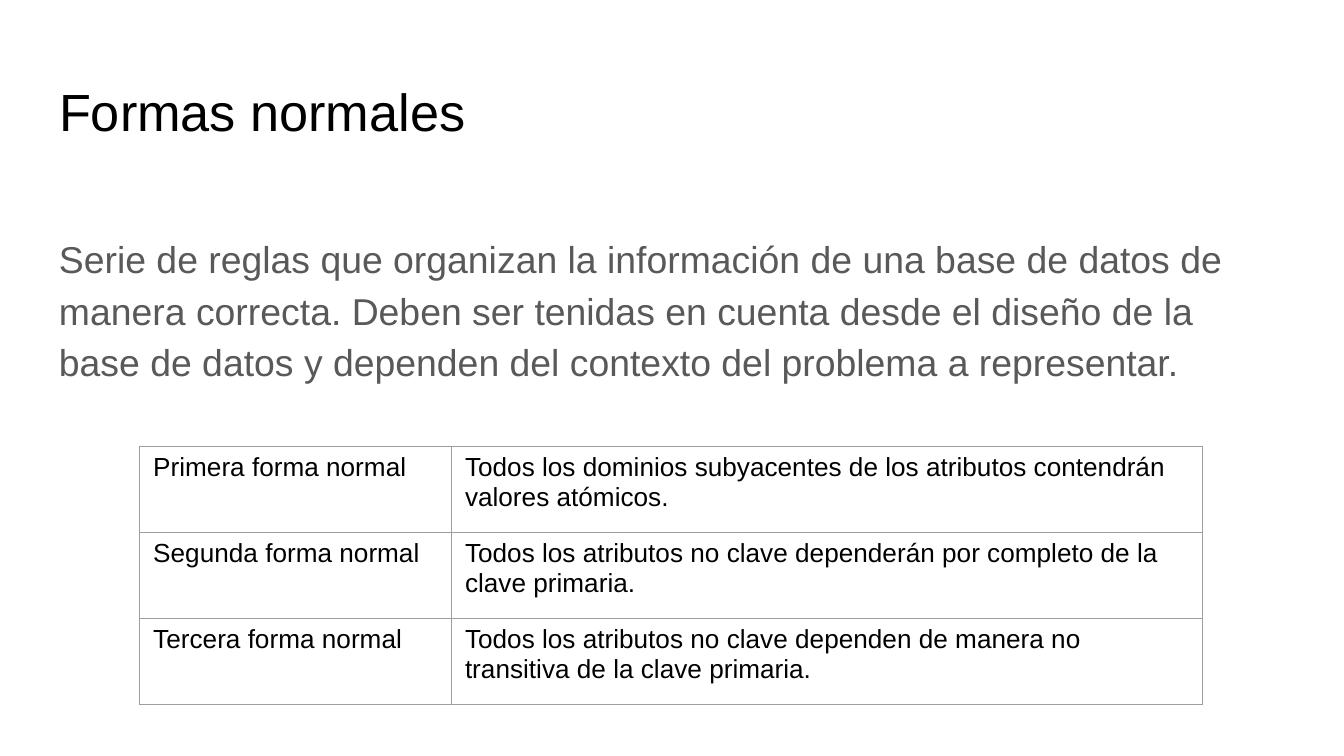
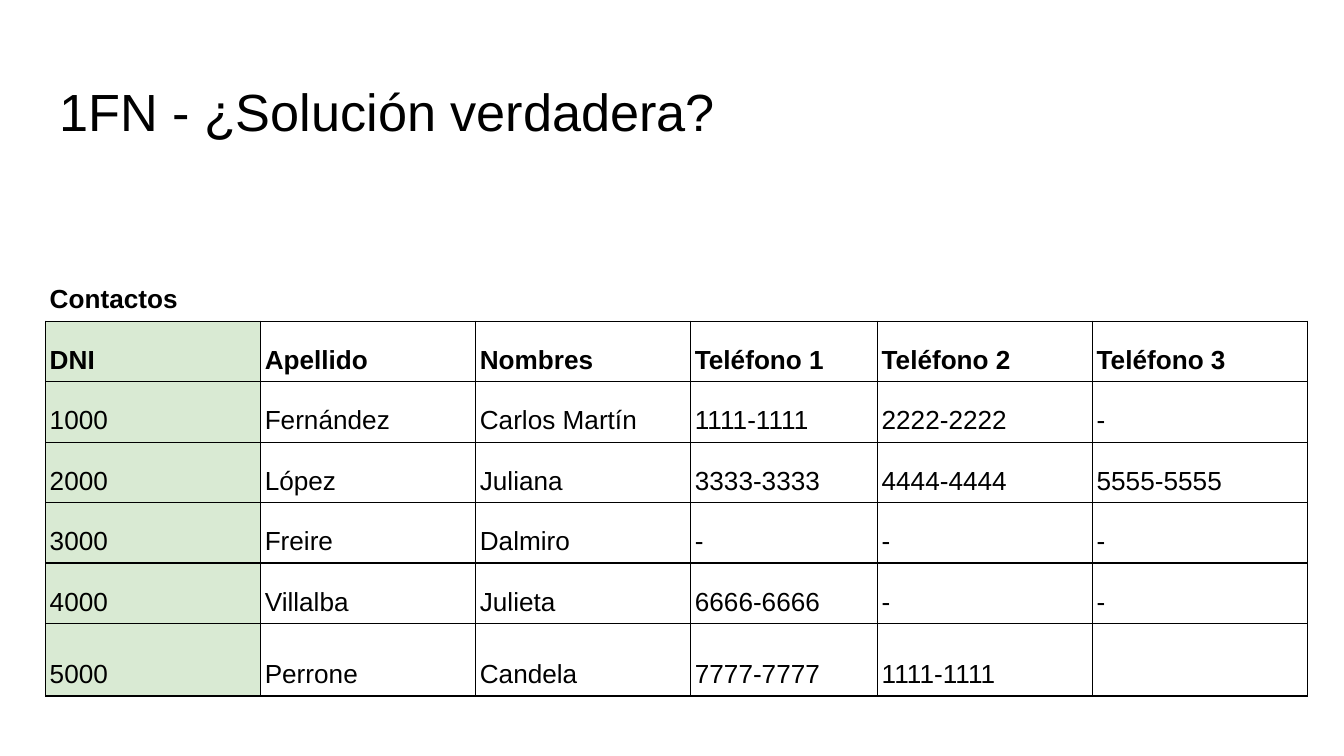
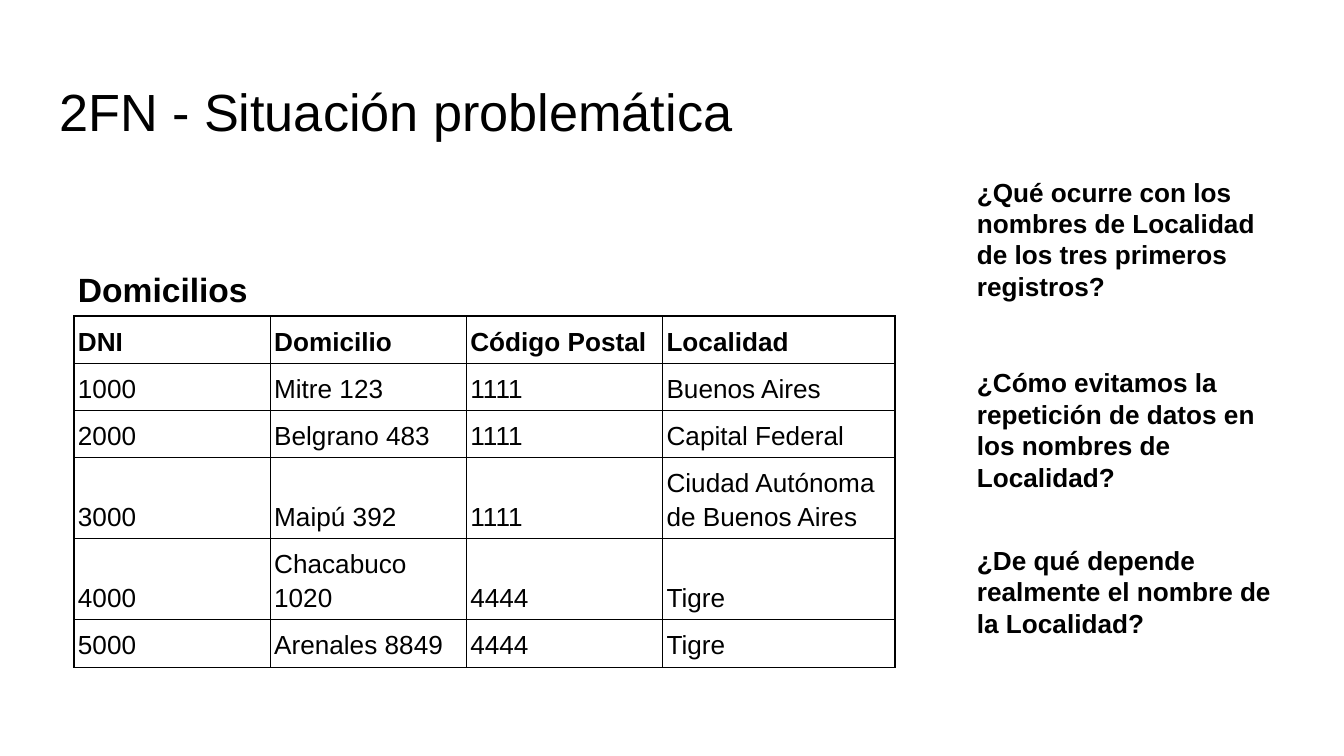
from dataclasses import dataclass

from lxml import etree
from pptx import Presentation
from pptx.dml.color import RGBColor
from pptx.enum.text import MSO_ANCHOR, MSO_AUTO_SIZE, PP_ALIGN
from pptx.oxml.ns import qn
from pptx.util import Emu, Pt

TOP, BOTTOM = MSO_ANCHOR.TOP, MSO_ANCHOR.BOTTOM
LEFT = PP_ALIGN.LEFT
NO_AUTOFIT = MSO_AUTO_SIZE.NONE

EMU_PER_PX = 9144  # 100 px to the inch
SLIDE_WIDTH = 1000
TITLE_ONLY = 5
FONT = "Arial"
COLORS = {
    "ink": "000000",
    "muted": "595959",
    "rule": "9E9E9E",
    "key": "D9EAD3",
}
BORDER_WIDTH = Pt(0.75)
BORDER_SIDES = ("lnL", "lnR", "lnT", "lnB")
TEXT_INSET = 10
CELL_INSET_Y = 5


@dataclass(frozen=True)
class Box:
    left: int
    top: int
    width: int
    height: int


@dataclass(frozen=True)
class TextStyle:
    size: int
    color: str = "ink"
    bold: bool = False
    line_spacing: float | None = None
    space_after: int = 0


@dataclass(frozen=True)
class Grid:
    """A plain table: text in rows, anchored at the top."""
    left: int
    top: int
    columns: list[int]
    row_heights: list[int]
    rows: list[list[str]]
    border: str = "rule"
    inset_x: int = 10
    anchor: MSO_ANCHOR = TOP
    line_spacing: float | None = None


@dataclass(frozen=True)
class RecordGrid(Grid):
    """A database table: a caption row, a bold header row, then records."""
    border: str = "ink"
    inset_x: int = 3
    anchor: MSO_ANCHOR = BOTTOM
    line_spacing: float | None = 1.15
    caption_size: int = 14
    key_fill: str | None = None


TITLE_BOX = Box(34, 49, 932, 63)
TITLE_STYLE = TextStyle(28)
DEFINITION_BOX = Box(34, 161, 932, 121)
DEFINITION_STYLE = TextStyle(20, "muted", line_spacing=1.15, space_after=16)
QUESTION_STYLE = TextStyle(14, bold=True)
CELL_SIZE = 14

DEFINITION = (
    "Serie de reglas que organizan la información de una base de datos de "
    "manera correcta. Deben ser tenidas en cuenta desde el diseño de la "
    "base de datos y dependen del contexto del problema a representar."
)
NORMAL_FORMS = Grid(
    104, 332, [232, 559], [64] * 3,
    [
        ["Primera forma normal",
         "Todos los dominios subyacentes de los atributos contendrán valores atómicos."],
        ["Segunda forma normal",
         "Todos los atributos no clave dependerán por completo de la clave primaria."],
        ["Tercera forma normal",
         "Todos los atributos no clave dependen de manera no transitiva de la clave primaria."],
    ],
)
CONTACTS = RecordGrid(
    34, 186, [160, 160, 160, 139, 160, 160], [53] + [45] * 5 + [54],
    [
        ["Contactos", "", "", "", "", ""],
        ["DNI", "Apellido", "Nombres", "Teléfono 1", "Teléfono 2", "Teléfono 3"],
        ["1000", "Fernández", "Carlos Martín", "1111-1111", "2222-2222", "-"],
        ["2000", "López", "Juliana", "3333-3333", "4444-4444", "5555-5555"],
        ["3000", "Freire", "Dalmiro", "-", "-", "-"],
        ["4000", "Villalba", "Julieta", "6666-6666", "-", "-"],
        ["5000", "Perrone", "Candela", "7777-7777", "1111-1111", ""],
    ],
    key_fill="key",
)
ADDRESSES = RecordGrid(
    55, 193, [146, 146, 146, 173], [36, 29, 29, 29, 54, 54, 29],
    [
        ["Domicilios", "", "", ""],
        ["DNI", "Domicilio", "Código Postal", "Localidad"],
        ["1000", "Mitre 123", "1111", "Buenos Aires"],
        ["2000", "Belgrano 483", "1111", "Capital Federal"],
        ["3000", "Maipú 392", "1111", "Ciudad Autónoma de Buenos Aires"],
        ["4000", "Chacabuco 1020", "4444", "Tigre"],
        ["5000", "Arenales 8849", "4444", "Tigre"],
    ],
    caption_size=18,
)
QUESTIONS = {
    121: "¿Qué ocurre con los nombres de Localidad de los tres primeros registros?",
    263: "¿Cómo evitamos la repetición de datos en los nombres de Localidad?",
    395: "¿De qué depende realmente el nombre de la Localidad?",
}


def px(length: int) -> Emu:
    return Emu(length * EMU_PER_PX)


def rgb(name: str) -> RGBColor:
    return RGBColor.from_string(COLORS[name])


def write(frame, text: str, style: TextStyle) -> None:
    frame.text = text
    paragraph = frame.paragraphs[0]
    paragraph.alignment = LEFT
    paragraph.line_spacing = style.line_spacing
    paragraph.space_before = Pt(0)
    paragraph.space_after = Pt(style.space_after)
    font = paragraph.font
    font.name = FONT
    font.size = Pt(style.size)
    font.bold = style.bold
    font.color.rgb = rgb(style.color)


def format_block(shape, text: str, style: TextStyle) -> None:
    """Write text in a title or text box with the shared margins."""
    frame = shape.text_frame
    frame.word_wrap = True
    frame.auto_size = NO_AUTOFIT
    frame.vertical_anchor = TOP
    frame.margin_left = frame.margin_right = px(TEXT_INSET)
    frame.margin_top = frame.margin_bottom = px(TEXT_INSET)
    write(frame, text, style)


def add_titled_slide(deck, title: str):
    slide = deck.slides.add_slide(deck.slide_layouts[TITLE_ONLY])
    heading = slide.shapes.title
    heading.left, heading.top = px(TITLE_BOX.left), px(TITLE_BOX.top)
    heading.width, heading.height = px(TITLE_BOX.width), px(TITLE_BOX.height)
    format_block(heading, title, TITLE_STYLE)
    return slide


def add_text(slide, box: Box, text: str, style: TextStyle) -> None:
    shape = slide.shapes.add_textbox(
        px(box.left), px(box.top), px(box.width), px(box.height))
    format_block(shape, text, style)


def set_borders(cell, color: str, visible: tuple[str, ...]) -> None:
    properties = cell._tc.get_or_add_tcPr()
    for side in BORDER_SIDES:
        line = etree.SubElement(properties, qn(f"a:{side}"), w=str(BORDER_WIDTH))
        if side in visible:
            fill = etree.SubElement(line, qn("a:solidFill"))
            etree.SubElement(fill, qn("a:srgbClr"), val=COLORS[color])
        else:
            etree.SubElement(line, qn("a:noFill"))


def format_cell(cell, grid: Grid, row: int, column: int) -> None:
    has_records = isinstance(grid, RecordGrid)
    is_caption = has_records and row == 0
    style = TextStyle(
        grid.caption_size if is_caption else CELL_SIZE,
        bold=has_records and row < 2,
        line_spacing=grid.line_spacing,
    )
    cell.margin_left = cell.margin_right = px(grid.inset_x)
    cell.margin_top = cell.margin_bottom = px(CELL_INSET_Y)
    cell.vertical_anchor = grid.anchor
    write(cell.text_frame, grid.rows[row][column], style)
    set_borders(cell, grid.border, ("lnB",) if is_caption else BORDER_SIDES)
    if has_records and grid.key_fill and column == 0 and not is_caption:
        cell.fill.solid()
        cell.fill.fore_color.rgb = rgb(grid.key_fill)
    else:
        cell.fill.background()


def add_grid(slide, grid: Grid) -> None:
    table = slide.shapes.add_table(
        len(grid.rows), len(grid.columns), px(grid.left), px(grid.top),
        px(sum(grid.columns)), px(sum(grid.row_heights))).table
    table.first_row = table.horz_banding = False
    for column, width in zip(table.columns, grid.columns):
        column.width = px(width)
    for r, height in enumerate(grid.row_heights):
        table.rows[r].height = px(height)
        for c in range(len(grid.columns)):
            format_cell(table.cell(r, c), grid, r, c)


def main() -> None:
    deck = Presentation()
    deck.slide_width = px(SLIDE_WIDTH)
    deck.slide_height = Emu(deck.slide_width * 9 // 16)

    normal_forms = add_titled_slide(deck, "Formas normales")
    add_text(normal_forms, DEFINITION_BOX, DEFINITION, DEFINITION_STYLE)
    add_grid(normal_forms, NORMAL_FORMS)

    first_form = add_titled_slide(deck, "1FN - ¿Solución verdadera?")
    add_grid(first_form, CONTACTS)

    second_form = add_titled_slide(deck, "2FN - Situación problemática")
    add_grid(second_form, ADDRESSES)
    for top, question in QUESTIONS.items():
        add_text(second_form, Box(717, top, 249, 90), question, QUESTION_STYLE)

    deck.save("out.pptx")


if __name__ == "__main__":
    main()
